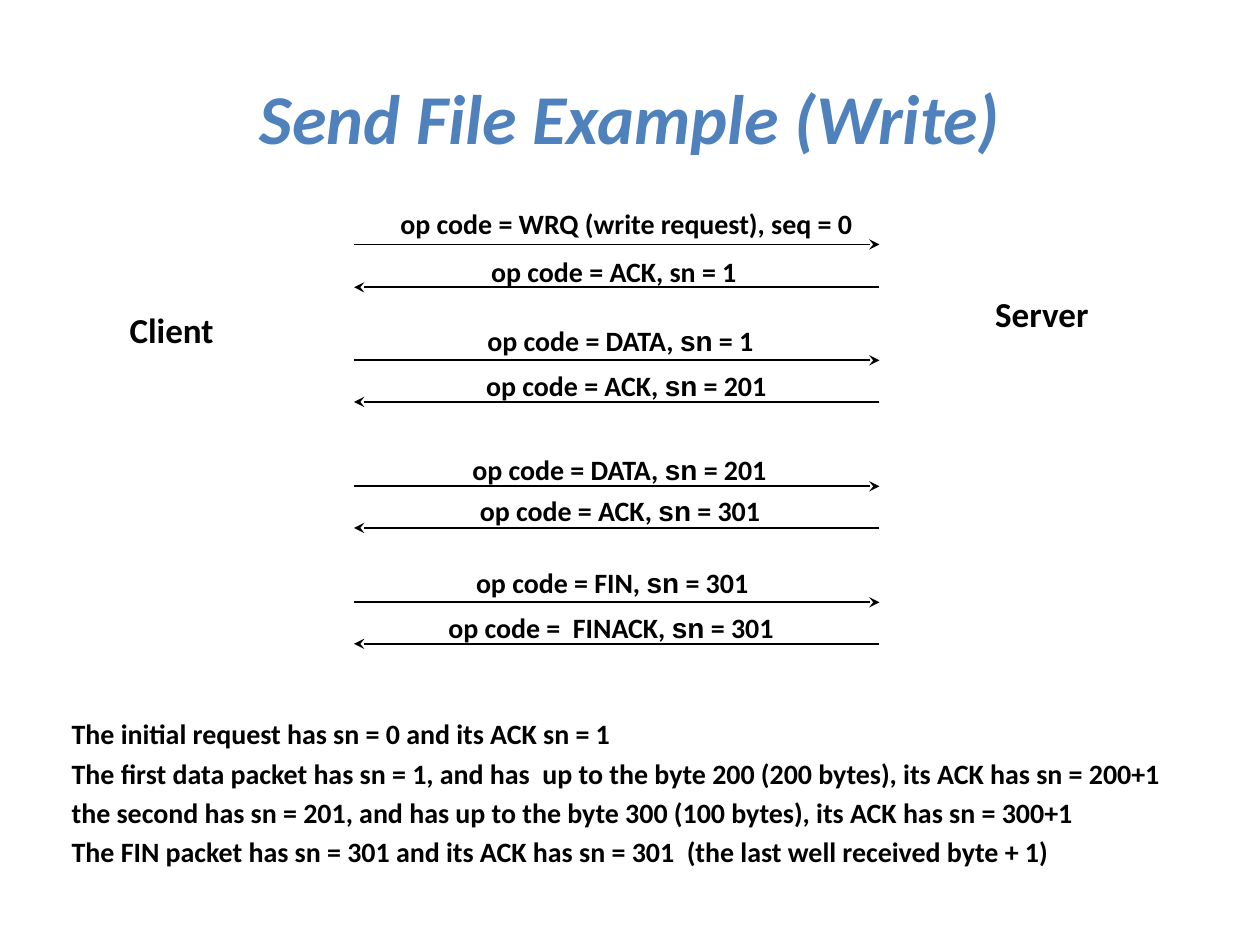
import pptx
import pptx.util
import pptx.dml.color
import pptx.enum.shapes
import pptx.enum.text
import lxml.etree
from pptx.util import Inches

COLORS = {"title": "4F81BD", "ink": "000000"}
LEFT_X, RIGHT_X = 2.81, 6.98


def add_text(s, box, paragraphs, size, color="ink", spacing=None, wrap=False):
    tf = s.shapes.add_textbox(*[Inches(v) for v in box]).text_frame
    tf.word_wrap = wrap
    for i, parts in enumerate(paragraphs):
        p = tf.paragraphs[0] if i == 0 else tf.add_paragraph()
        for text, font in parts:
            r = p.add_run()
            r.text = text
            r.font.name = font
        p.font.size = pptx.util.Pt(size)
        p.font.bold = True
        p.font.color.rgb = pptx.dml.color.RGBColor.from_string(COLORS[color])
        if spacing:
            p.line_spacing = spacing
    return tf


def add_arrow(s, start, end, y):
    line = s.shapes.add_connector(
        pptx.enum.shapes.MSO_CONNECTOR.STRAIGHT,
        Inches(start), Inches(y), Inches(end), Inches(y))
    line.line.color.rgb = pptx.dml.color.RGBColor.from_string(COLORS["ink"])
    line.line.width = pptx.util.Pt(1)
    ns = pptx.oxml.ns.qn
    lxml.etree.SubElement(line.line._get_or_add_ln(), ns("a:tailEnd"), type="stealth")
    lxml.etree.SubElement(line._element.spPr, ns("a:effectLst"))


prs = pptx.Presentation()
prs.slide_width = Inches(10)
prs.slide_height = Inches(7.5)
s = prs.slides.add_slide(prs.slide_layouts[6])

tf = add_text(s, (0.5, 0.3, 9, 1.25), [[("Send File Example (Write)", "Calibri")]],
              40, "title", wrap=True)
tf.vertical_anchor = pptx.enum.text.MSO_ANCHOR.MIDDLE
tf.paragraphs[0].alignment = pptx.enum.text.PP_ALIGN.CENTER
tf.paragraphs[0].font.italic = True

messages = [
    (1.94, (3.08, 1.62, 3.84), "op code = WRQ (write request), seq = 0", None),
    (2.28, (3.8, 2, 2.18), "op code = ACK, sn = 1", None),
    (2.86, (3.77, 2.55, 2.39), "op code = DATA, ", " = 1"),
    (3.19, (3.76, 2.91, 2.51), "op code = ACK, ", " = 201"),
    (3.86, (3.65, 3.57, 2.62), "op code = DATA, ", " = 201"),
    (4.19, (3.71, 3.9, 2.51), "op code = ACK, ", " = 301"),
    (4.78, (3.68, 4.47, 2.44), "op code = FIN, ", " = 301"),
    (5.11, (3.46, 4.83, 2.81), "op code =  FINACK, ", " = 301"),
]
for i, (y, box, text, number) in enumerate(messages):
    ends = (LEFT_X, RIGHT_X) if i % 2 == 0 else (RIGHT_X, LEFT_X)
    add_arrow(s, *ends, y)
    parts = [(text, "Calibri")]
    if number:
        parts += [("sn", "Arial"), (number, "Calibri")]
    add_text(s, (*box, 0.34), [parts], 16, spacing=0.9)

for name, box in [("Client", (0.93, 2.44, 0.88, 0.4)), ("Server", (7.8, 2.31, 0.95, 0.4))]:
    add_text(s, box, [[(name, "Calibri")]], 20, spacing=0.9)

notes = [
    "The initial request has sn = 0 and its ACK sn = 1",
    "The first data packet has sn = 1, and has  up to the byte 200 (200 bytes), its ACK has sn = 200+1",
    "the second has sn = 201, and has up to the byte 300 (100 bytes), its ACK has sn = 300+1",
    "The FIN packet has sn = 301 and its ACK has sn = 301  (the last well received byte + 1)",
]
tf = add_text(s, (0.47, 5.64, 9.29, 1.49), [[(note, "Calibri")] for note in notes],
              16, wrap=True)
for p in tf.paragraphs[1:]:
    p.space_before = pptx.util.Pt(3.2)

prs.save("out.pptx")
